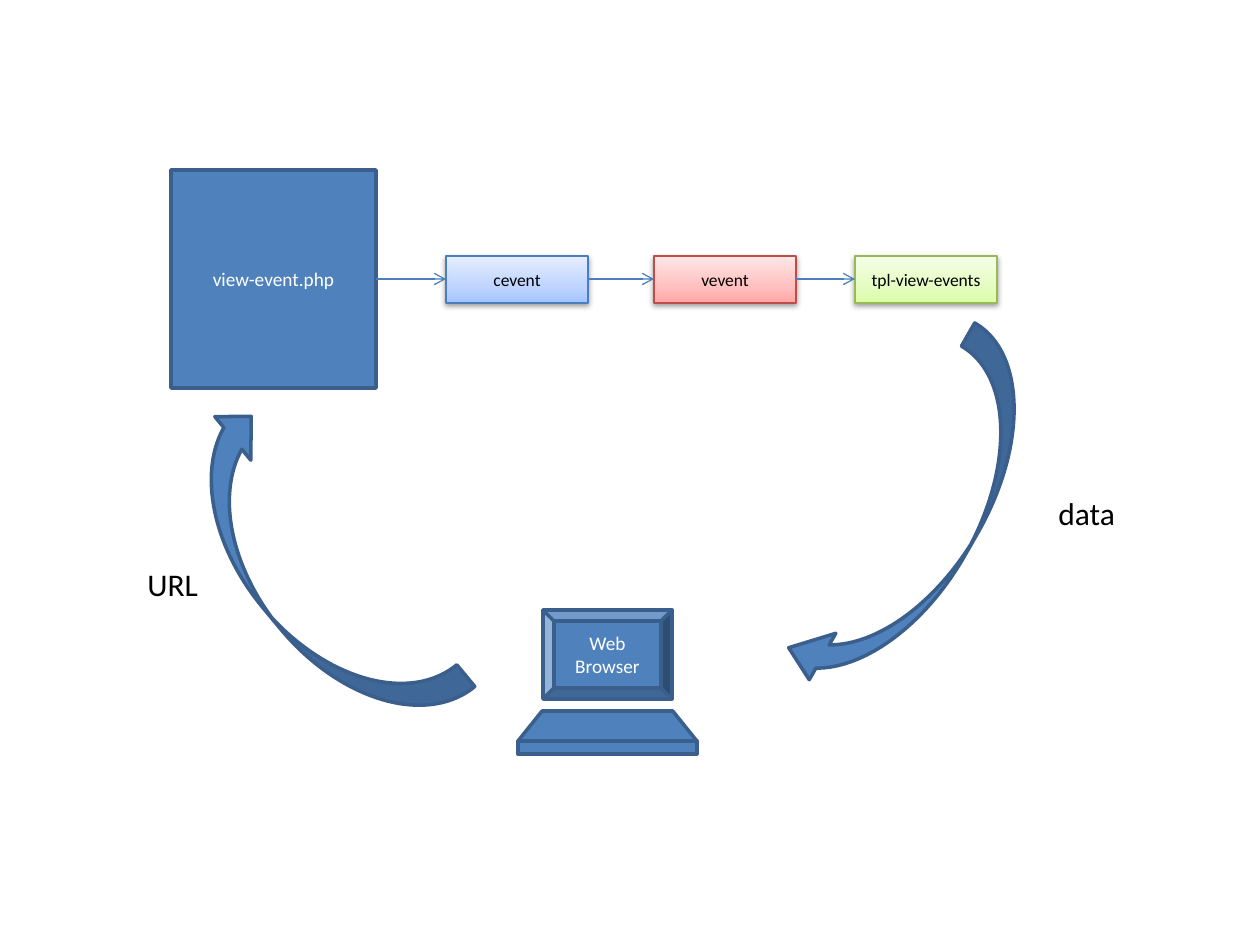
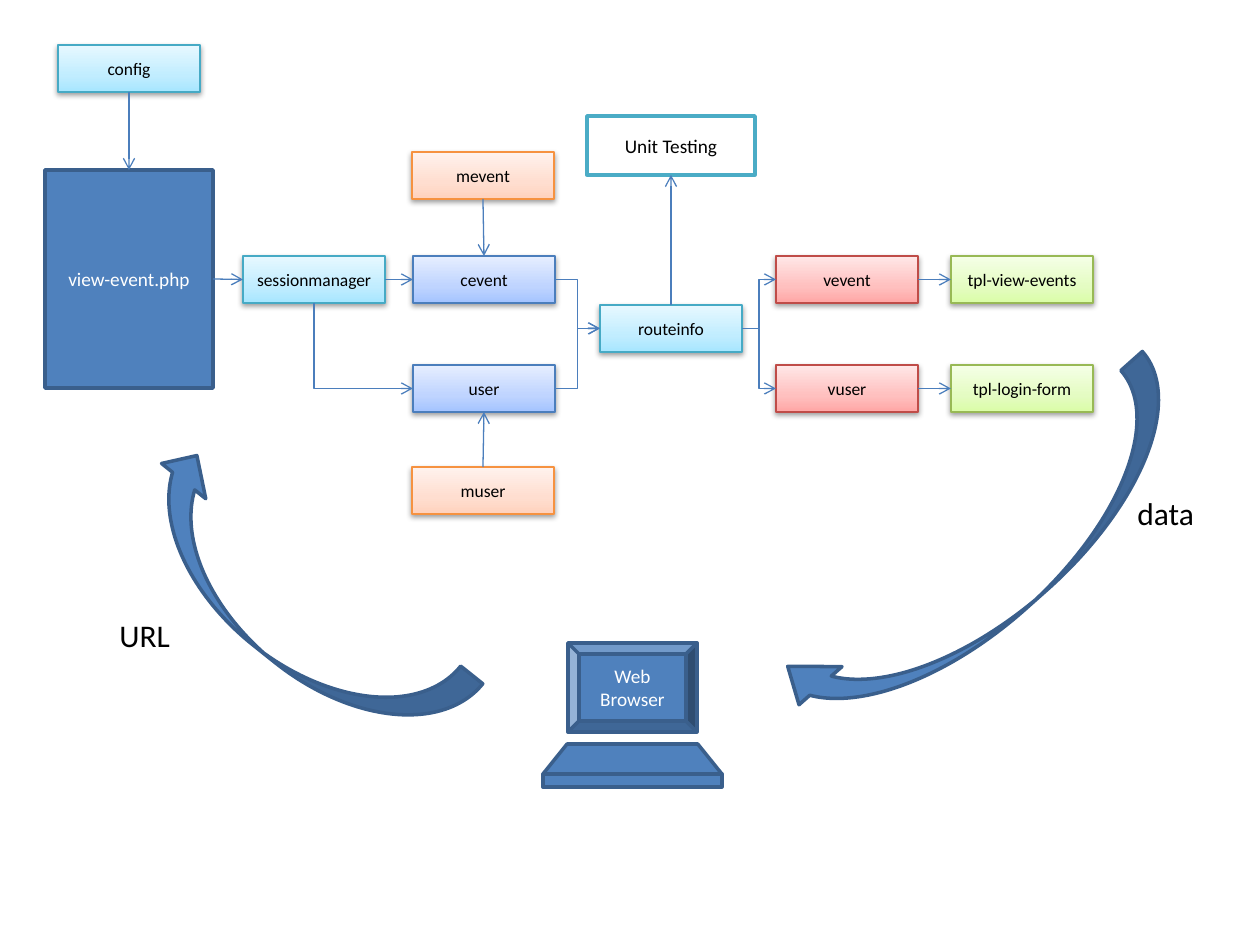
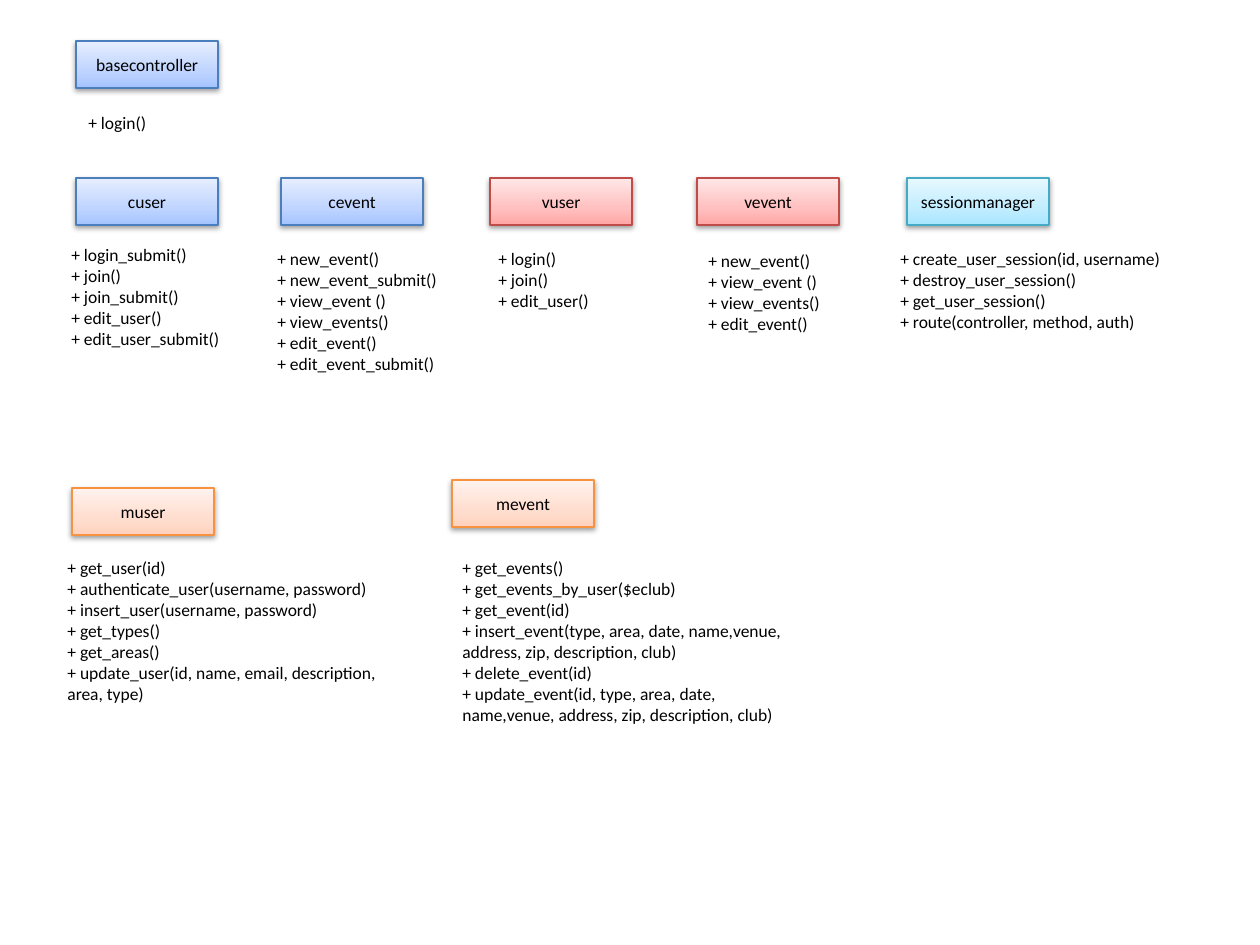
from copy import deepcopy

from lxml import etree
from pptx import Presentation
from pptx import util as u
from pptx.dml.color import RGBColor
from pptx.enum import shapes, text
from pptx.oxml import ns

PX = 914400 / 126
FONT = "Calibri"
BLACK = RGBColor(0x00, 0x00, 0x00)
WHITE = RGBColor(0xFF, 0xFF, 0xFF)
BLUE = RGBColor(0x4F, 0x81, 0xBD)
NAVY = RGBColor(0x3A, 0x5F, 0x8C)
STEEL = RGBColor(0x4B, 0x7E, 0xBC)
TEAL = RGBColor(0x4B, 0xAC, 0xC6)


def tone(line, *stops):
    return RGBColor.from_string(line), [RGBColor.from_string(s) for s in stops]


CTRL = tone("4B7EBC", "A4C4FF", "BFD4FF", "E6EEFF")
VIEW = tone("BF4C48", "FFA6A5", "FFC0BF", "FFE7E7")
PAGE = tone("98B955", "DAFDA7", "E4FCC2", "F5FFE7")
CORE = tone("46AAC5", "A7E6FF", "C1EDFF", "E7F8FF")
MODEL = tone("F69240", "FFD2BD", "FFDED0", "FFF2ED")
STOPS = (0, 0.35, 1)
NODE_W, NODE_H = 142, 47
TOP, LEFT, BOTTOM, RIGHT = range(4)
KIND = shapes.MSO_SHAPE
WIRE = shapes.MSO_CONNECTOR


def px(*nums):
    return [u.Emu(round(n * PX)) for n in nums]


def put(item, vals):
    for key, val in vals.items():
        setattr(item, key, val)


def write(shape, lines, size, color, frame, align=None):
    body = shape.text_frame
    put(body, frame)
    for i, line in enumerate(lines):
        para = body.add_paragraph() if i else body.paragraphs[0]
        para.alignment = align
        run = para.add_run()
        run.text = line
        put(run.font, {"size": u.Pt(size), "name": FONT})
        run.font.color.rgb = color


def solid(slide, kind, box, label="", fill=BLUE, line=NAVY, ink=WHITE):
    shape = slide.shapes.add_shape(kind, *px(*box))
    shape.shadow.inherit = False
    shape.fill.solid()
    shape.fill.fore_color.rgb = fill
    shape.line.color.rgb = line
    shape.line.width = u.Pt(2)
    if label:
        frame = {"word_wrap": True, "vertical_anchor": text.MSO_ANCHOR.MIDDLE}
        write(shape, [label], 11, ink, frame, text.PP_ALIGN.CENTER)
    return shape


def node(slide, x, y, label, hue):
    line, shades = hue
    shape = solid(slide, KIND.RECTANGLE, (x, y, NODE_W, NODE_H), line=line)
    shape.line.width = u.Pt(0.75)
    fill = shape.fill
    fill.gradient()
    fill.gradient_angle = 90
    props = shape._element.spPr
    stops = props.find(ns.qn("a:gradFill")).find(ns.qn("a:gsLst"))
    stops.append(deepcopy(stops[0]))
    for stop, shade, at in zip(fill.gradient_stops, shades, STOPS):
        stop.color.rgb = shade
        stop.position = at
    cast = etree.SubElement(props.find(ns.qn("a:effectLst")), ns.qn("a:outerShdw"),
                            blurRad="40000", dist="20000", dir="5400000", rotWithShape="0")
    dark = etree.SubElement(cast, ns.qn("a:srgbClr"), val=str(BLACK))
    etree.SubElement(dark, ns.qn("a:alpha"), val="38000")
    frame = {"word_wrap": True, "vertical_anchor": text.MSO_ANCHOR.MIDDLE}
    write(shape, [label], 10, BLACK, frame, text.PP_ALIGN.CENTER)
    return shape


def wire(slide, kind, ends=(0, 0, 0, 0)):
    link = slide.shapes.add_connector(kind, *ends)
    link.line.color.rgb = STEEL
    link.line.width = u.Pt(0.75)
    props = link._element.spPr
    etree.SubElement(props.find(ns.qn("a:ln")), ns.qn("a:tailEnd"), type="arrow")
    etree.SubElement(props, ns.qn("a:effectLst"))
    return link


def join(slide, start, end, out=RIGHT, into=LEFT, kind=WIRE.STRAIGHT):
    link = wire(slide, kind)
    link.begin_connect(start, out)
    link.end_connect(end, into)


def corner(slide, start, end):
    x1, y1 = start.left + start.width // 2, start.top + start.height
    x2, y2 = end.left, end.top + end.height // 2
    mx, my = (x1 + x2) // 2, (y1 + y2) // 2
    dx, dy = (x2 - x1) // 2, (y2 - y1) // 2
    link = wire(slide, WIRE.ELBOW, (mx - dy, my - dx, mx + dy, my + dx))
    props = link._element.spPr
    props.find(ns.qn("a:prstGeom")).set("prst", "bentConnector2")
    frame = props.find(ns.qn("a:xfrm"))
    frame.set("rot", "16200000")
    frame.set("flipH", "1")


def swoop(slide, box, turn, head=0.25):
    shape = solid(slide, KIND.CURVED_RIGHT_ARROW, box)
    shape.rotation = turn
    shape.adjustments[2] = head
    shape._element.spPr.find(ns.qn("a:xfrm")).set("flipH", "1")


def note(slide, box, lines, size, wrap=True):
    shape = slide.shapes.add_textbox(*px(*box))
    frame = {"word_wrap": wrap, "auto_size": text.MSO_AUTO_SIZE.SHAPE_TO_FIT_TEXT}
    write(shape, lines, size, BLACK, frame)


def laptop(slide, x, y):
    solid(slide, KIND.BEVEL, (x + 25, y, 129, 89), "Web Browser")
    keys = solid(slide, KIND.TRAPEZOID, (x, y + 101, 179, 30))
    keys.adjustments[0] = 0.804
    solid(slide, KIND.RECTANGLE, (x, y + 131, 179, 13))


def cycle(slide, url, data, up, down, home):
    note(slide, (*url, 79, 50), ["URL"], 18)
    note(slide, (*data, 97, 50), ["data"], 18)
    swoop(slide, *up)
    swoop(slide, *down, head=0.315)
    laptop(slide, *home)


def entry(slide, x, w):
    return solid(slide, KIND.RECTANGLE, (x, 170, w, 218), "view-event.php")


def simple(slide):
    row = [entry(slide, 171, 205)]
    for x, label, hue in ((446, "cevent", CTRL), (654, "vevent", VIEW),
                          (855, "tpl-view-events", PAGE)):
        row.append(node(slide, x, 256, label, hue))
    for start, end in zip(row, row[1:]):
        wire(slide, WIRE.STRAIGHT,
             (start.left + start.width, px(279)[0], end.left, px(279)[0]))
    cycle(slide, (135, 559), (1046, 488), ((254, 387, 113, 379), 140.4),
          ((868, 323, 107, 401), 29.8), (518, 610))


def full(slide):
    php = entry(slide, 45, 168)
    high, low = 256, 365
    nodes = {label: node(slide, x, y, label, hue) for x, y, label, hue in (
        (58, 45, "config", CORE),
        (243, high, "sessionmanager", CORE),
        (412, 152, "mevent", MODEL),
        (413, high, "cevent", CTRL),
        (413, low, "user", CTRL),
        (412, 467, "muser", MODEL),
        (600, 305, "routeinfo", CORE),
        (776, high, "vevent", VIEW),
        (776, low, "vuser", VIEW),
        (951, high, "tpl-view-events", PAGE),
        (951, low, "tpl-login-form", PAGE))}
    test = solid(slide, KIND.RECTANGLE, (587, 116, 168, 59), "Unit Testing",
                 WHITE, TEAL, BLACK)
    sess, route = nodes["sessionmanager"], nodes["routeinfo"]
    join(slide, php, sess)
    join(slide, sess, nodes["cevent"])
    corner(slide, sess, nodes["user"])
    for name in ("cevent", "user"):
        join(slide, nodes[name], route, kind=WIRE.ELBOW)
    for name, page in (("vevent", "tpl-view-events"), ("vuser", "tpl-login-form")):
        join(slide, route, nodes[name], kind=WIRE.ELBOW)
        join(slide, nodes[name], nodes[page])
    join(slide, nodes["config"], php, BOTTOM, TOP)
    join(slide, nodes["mevent"], nodes["cevent"], BOTTOM, TOP)
    join(slide, nodes["muser"], nodes["user"], TOP, BOTTOM)
    join(slide, route, test, TOP, BOTTOM)
    cycle(slide, (107, 610), (1125, 488), ((237, 408, 113, 394), 128.6),
          ((935, 310, 115, 503), 48.4), (543, 643))


def card(slide, x, y, label, hue, dx, dy, w, calls, extra=0):
    node(slide, x, y, label, hue)
    high = 13 + 21.2 * (len(calls) + extra)
    note(slide, (x + dx, y + dy, w, high), ["+ " + c for c in calls], 10, extra > 0)


def classes(slide):
    row = 178
    card(slide, 76, 41, "basecontroller", CTRL, 0, 65, 83, ["login()"])
    card(slide, 76, row, "cuser", CTRL, -17, 60, 175,
         ["login_submit()", "join()", "join_submit()", "edit_user()",
          "edit_user_submit()"])
    card(slide, 281, row, "cevent", CTRL, -16, 64, 188,
         ["new_event()", "new_event_submit()", "view_event ()", "view_events()",
          "edit_event()", "edit_event_submit()"])
    card(slide, 490, row, "vuser", VIEW, -4, 64, 117,
         ["login()", "join()", "edit_user()"])
    card(slide, 697, row, "vevent", VIEW, -1, 66, 139,
         ["new_event()", "view_event ()", "view_events()", "edit_event()"])
    card(slide, 907, row, "sessionmanager", CORE, -19, 64, 289,
         ["create_user_session(id, username)", "destroy_user_session()",
          "get_user_session()", "route(controller, method, auth)"])
    card(slide, 72, 488, "muser", MODEL, -17, 63, 347,
         ["get_user(id)", "authenticate_user(username, password)",
          "insert_user(username, password)", "get_types()", "get_areas()",
          "update_user(id, name, email, description, area, type)"], 1)
    card(slide, 452, 480, "mevent", MODEL, -2, 71, 347,
         ["get_events()", "get_events_by_user($eclub)", "get_event(id)",
          "insert_event(type, area, date, name,venue, address, zip, description, club)",
          "delete_event(id)",
          "update_event(id, type, area, date, name,venue, address, zip, description, club)"],
         2)


deck = Presentation()
put(deck, {"slide_width": u.Inches(10), "slide_height": u.Inches(7.5)})
for build in (simple, full, classes):
    build(deck.slides.add_slide(deck.slide_layouts[6]))
deck.save("out.pptx")
